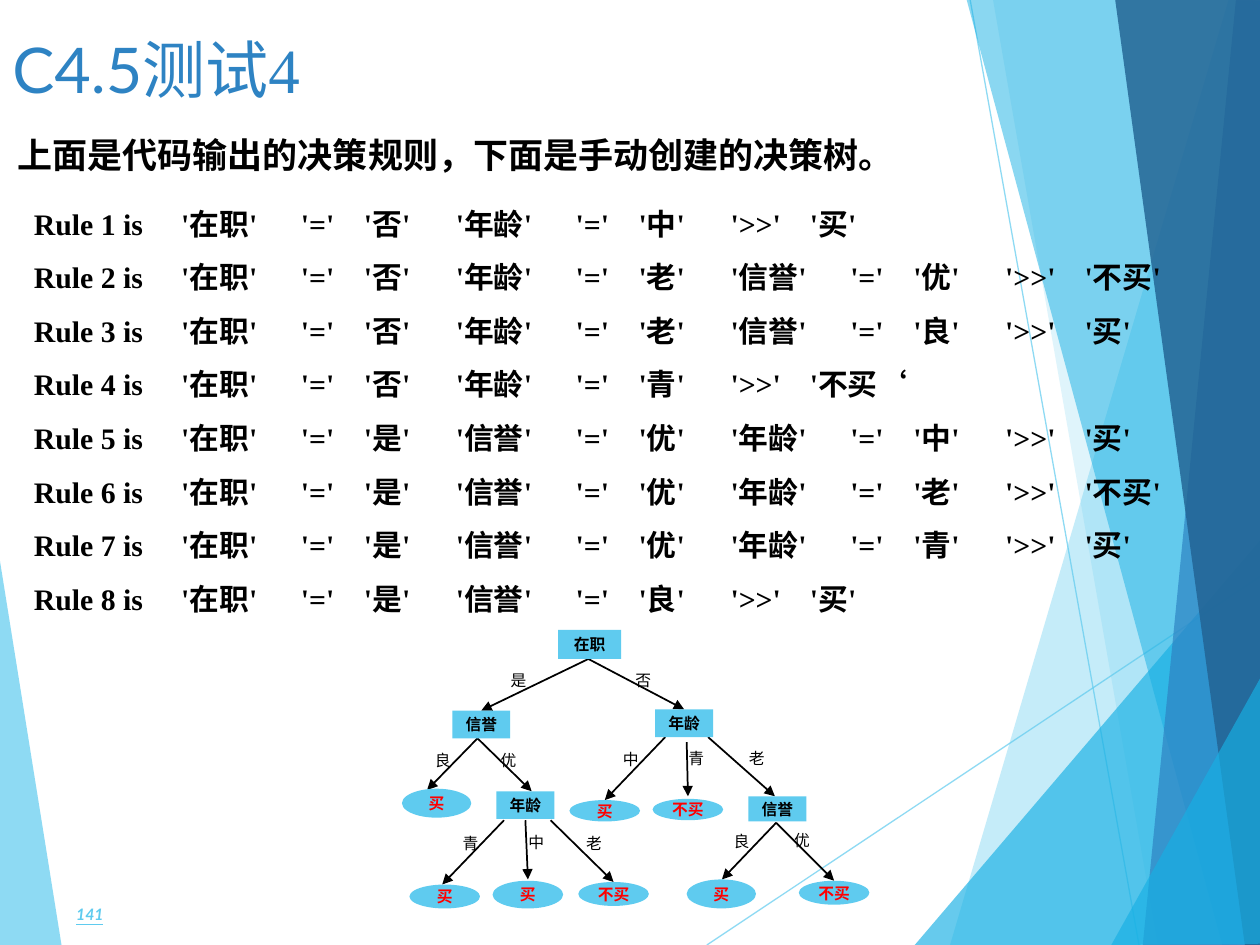
"""Build the C4.5 test slide: eight decision rules above a hand-drawn tree."""
from dataclasses import dataclass
from itertools import accumulate
from typing import Any, NamedTuple

from lxml import etree
from pptx import Presentation
from pptx import util as u
from pptx.dml.color import RGBColor
from pptx.enum import shapes, text
from pptx.oxml.ns import qn

PX = 9144


@dataclass(frozen=True)
class Theme:
    sky: str = "5FCBEF"
    cyan: str = "17B0E4"
    blue: str = "2E83C3"
    navy: str = "226292"
    ink: str = "000000"
    red: str = "FF0000"
    sans: str = "Lato"
    serif: str = "Times New Roman"
    title: int = 36
    lead: int = 20
    rule: int = 17
    small: int = 9


T = Theme()


class Box(NamedTuple):
    x: int
    y: int
    w: int
    h: int


class Run(NamedTuple):
    text: str
    size: int
    font: str
    color: str
    bold: bool = False
    slant: bool = False


class Facet(NamedTuple):
    color: str
    alpha: int
    pts: list[tuple[int, int]]


class Line(NamedTuple):
    x1: int
    y1: int
    x2: int
    y2: int


class Node(NamedTuple):
    text: str
    box: Box


class Label(NamedTuple):
    text: str
    x: int
    y: int


class Rule(NamedTuple):
    tests: list[tuple[str, str]]
    result: str


LEFT = Facet(T.sky, 70, [(-1, 439), (49, 751), (-1, 750)])
RAYS = [Line(561, 750, 1001, 457), Line(770, 0, 904, 750)]
FACETS = [
    Facet(T.sky, 36, [(975, 0), (754, 750), (1002, 751), (1001, 1)]),
    Facet(T.sky, 20, [(788, -1), (919, 750), (1001, 750), (1001, -1)]),
    Facet(T.cyan, 66, [(726, 750), (1000, 429), (1001, 750)]),
    Facet(T.cyan, 50, [(767, -1), (970, 750), (1001, 749), (1001, -1)]),
    Facet(T.blue, 70, [(981, -1), (907, 750), (1001, 750), (1000, -1)]),
    Facet(T.navy, 82, [(885, -1), (988, 750), (1002, 750), (1000, -1)]),
    Facet(T.cyan, 66, [(882, 750), (1002, 535), (1002, 749)]),
]
JOB, AGE, FAME = "在职", "年龄", "信誉"
RULES = [
    Rule([(JOB, "否"), (AGE, "中")], "'买'"),
    Rule([(JOB, "否"), (AGE, "老"), (FAME, "优")], "'不买'"),
    Rule([(JOB, "否"), (AGE, "老"), (FAME, "良")], "'买'"),
    Rule([(JOB, "否"), (AGE, "青")], "'不买‘"),
    Rule([(JOB, "是"), (FAME, "优"), (AGE, "中")], "'买'"),
    Rule([(JOB, "是"), (FAME, "优"), (AGE, "老")], "'不买'"),
    Rule([(JOB, "是"), (FAME, "优"), (AGE, "青")], "'买'"),
    Rule([(JOB, "是"), (FAME, "良")], "'买'"),
]
HEAD, TEST, ARROW = 117, (95, 50, 73), 63
EDGES = [
    Line(467, 523, 382, 564), Line(467, 523, 543, 563),
    Line(379, 586, 339, 627), Line(379, 586, 422, 628),
    Line(528, 585, 480, 635), Line(562, 585, 615, 632),
    Line(545, 589, 546, 632), Line(400, 651, 351, 702),
    Line(437, 651, 487, 700), Line(417, 651, 419, 698),
    Line(616, 653, 573, 698), Line(616, 653, 662, 699),
]
TESTS = [
    Node(JOB, Box(443, 500, 50, 23)), Node(AGE, Box(520, 563, 46, 22)),
    Node(FAME, Box(359, 564, 46, 22)), Node(AGE, Box(394, 628, 46, 22)),
    Node(FAME, Box(594, 632, 46, 20)),
]
LEAVES = [
    Node("买", Box(319, 626, 55, 23)), Node("买", Box(452, 635, 56, 17)),
    Node("买", Box(391, 699, 56, 22)), Node("买", Box(325, 702, 56, 19)),
    Node("不买", Box(459, 700, 56, 19)), Node("不买", Box(518, 634, 56, 17)),
    Node("买", Box(545, 698, 55, 23)), Node("不买", Box(634, 699, 56, 19)),
]
LABELS = [
    Label("否", 490, 527), Label("是", 391, 527), Label("优", 383, 591),
    Label("良", 331, 591), Label("中", 480, 590), Label("青", 532, 589),
    Label("青", 353, 657), Label("老", 451, 657), Label("中", 405, 656),
    Label("老", 580, 589), Label("优", 616, 654), Label("良", 568, 655),
]


def scale(vals: tuple[int, ...]) -> list[int]:
    return [v * PX for v in vals]


def fade(shape: Any, alpha: int) -> None:
    color = next(shape._element.iter(qn("a:srgbClr")))
    etree.SubElement(color, qn("a:alpha"), val=str(alpha * 1000))


def write(par: Any, run: Run) -> Any:
    part = par.add_run()
    part.text = run.text
    font = part.font
    font.size, font.name = u.Pt(run.size), run.font
    font.bold, font.italic = run.bold, run.slant
    font.color.rgb = RGBColor.from_string(run.color)
    return part


def add_text(page: Any, box: Box, runs: list[Run], align: Any = text.PP_ALIGN.LEFT,
             anchor: Any = text.MSO_ANCHOR.TOP) -> Any:
    frame = page.add_textbox(*scale(box)).text_frame
    frame.word_wrap, frame.vertical_anchor = True, anchor
    par = frame.paragraphs[0]
    par.alignment = align
    for run in runs:
        write(par, run)
    return frame


def add_facet(page: Any, facet: Facet) -> None:
    path = page.build_freeform(*facet.pts[0], scale=PX)
    path.add_line_segments(facet.pts[1:], close=True)
    shape = path.convert_to_shape()
    shape.shadow.inherit = False
    shape.fill.solid()
    shape.fill.fore_color.rgb = RGBColor.from_string(facet.color)
    shape.line.fill.background()
    fade(shape, facet.alpha)


def add_line(page: Any, line: Line, color: str, width: float) -> Any:
    wire = page.add_connector(shapes.MSO_CONNECTOR.STRAIGHT, *scale(line))
    wire.line.color.rgb = RGBColor.from_string(color)
    wire.line.width = u.Pt(width)
    etree.SubElement(wire._element.spPr, qn("a:effectLst"))
    return wire


def add_edge(page: Any, line: Line) -> None:
    wire = add_line(page, line, T.ink, 1)
    etree.SubElement(wire.line._get_or_add_ln(), qn("a:tailEnd"), type="triangle")


def add_node(page: Any, node: Node, kind: Any, color: str) -> None:
    shape = page.add_shape(kind, *scale(node.box))
    shape.shadow.inherit = False
    shape.fill.solid()
    shape.fill.fore_color.rgb = RGBColor.from_string(T.sky)
    shape.line.fill.background()
    frame = shape.text_frame
    frame.word_wrap, frame.vertical_anchor = False, text.MSO_ANCHOR.MIDDLE
    frame.margin_left = frame.margin_right = frame.margin_top = frame.margin_bottom = 0
    par = frame.paragraphs[0]
    par.alignment = text.PP_ALIGN.CENTER
    write(par, Run(node.text, T.small, T.sans, color, True))


def add_rules(page: Any) -> None:
    frame = add_text(page, Box(17, 144, 974, 396), [])
    for num, rule in enumerate(RULES, 1):
        par = frame.paragraphs[0] if num == 1 else frame.add_paragraph()
        tabs = etree.SubElement(par._p.get_or_add_pPr(), qn("a:tabLst"))
        for stop in accumulate((HEAD, *TEST * len(rule.tests), ARROW)):
            etree.SubElement(tabs, qn("a:tab"), pos=str(stop * PX), algn="l")
        par.line_spacing = 1.5
        cells = [f"Rule {num} is"]
        for name, value in rule.tests:
            cells += [f"'{name}'", "'='", f"'{value}'"]
        cells += ["'>>'", rule.result]
        write(par, Run("\t".join(cells), T.rule, T.serif, T.ink, True))


def main() -> None:
    deck = Presentation()
    deck.slide_width, deck.slide_height = scale((1000, 750))
    page = deck.slides.add_slide(deck.slide_layouts[6]).shapes
    add_facet(page, LEFT)
    for ray in RAYS:
        fade(add_line(page, ray, T.sky, 0.75), 70)
    for facet in FACETS:
        add_facet(page, facet)
    add_text(page, Box(0, 19, 860, 53), [Run("C4.5", T.title, T.sans, T.blue),
                                         Run("测试4", T.title, T.serif, T.blue)])
    count = add_text(page, Box(0, 711, 92, 29),
                     [Run("141", T.small, T.sans, T.sky, True, True)],
                     text.PP_ALIGN.RIGHT, text.MSO_ANCHOR.MIDDLE)
    count.paragraphs[0].runs[0].font.underline = True
    add_text(page, Box(4, 101, 725, 44),
             [Run("上面是代码输出的决策规则，下面是手动创建的决策树。", T.lead, T.serif, T.ink, True)])
    add_rules(page)
    for edge in EDGES:
        add_edge(page, edge)
    for node in TESTS:
        add_node(page, node, shapes.MSO_SHAPE.RECTANGLE, T.ink)
    for leaf in LEAVES:
        add_node(page, leaf, shapes.MSO_SHAPE.OVAL, T.red)
    for tag in LABELS:
        add_text(page, Box(tag.x, tag.y, 41, 15),
                 [Run(tag.text, T.small, T.serif, T.ink)], text.PP_ALIGN.CENTER)
    deck.save("out.pptx")


if __name__ == "__main__":
    main()
